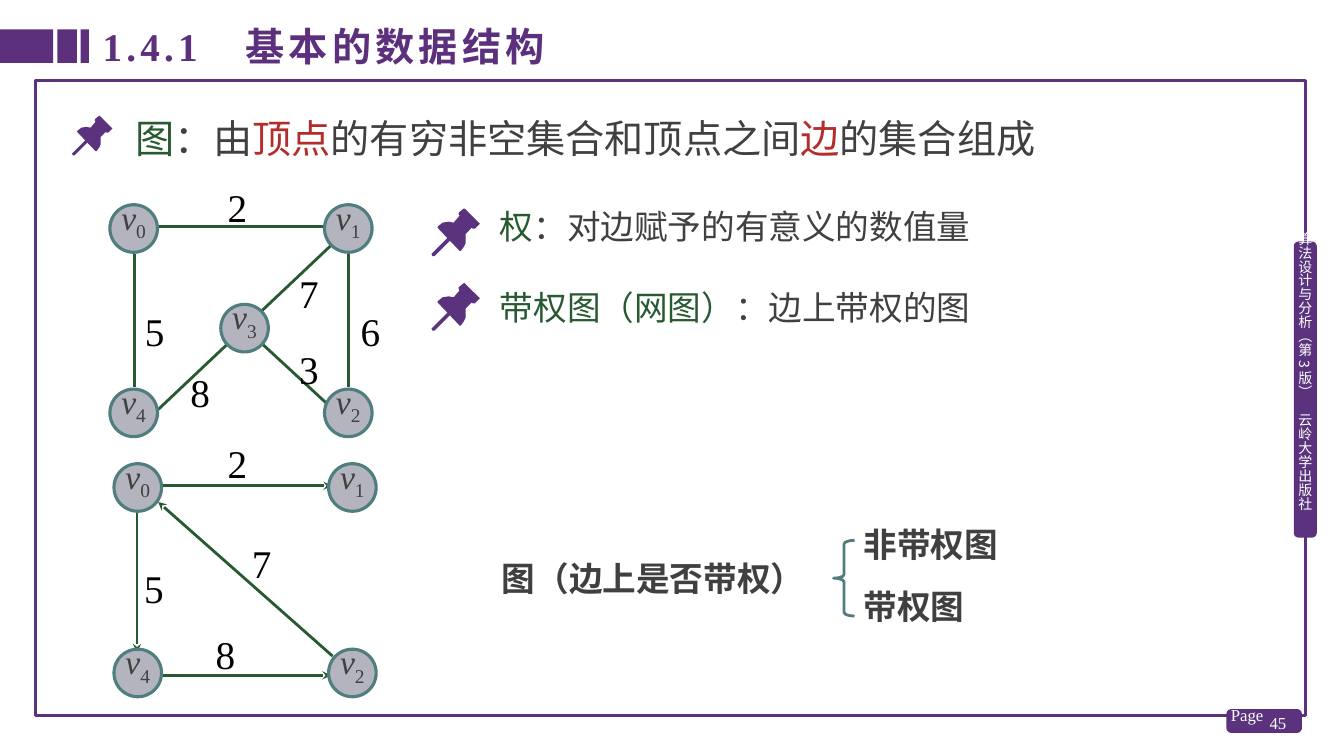
from lxml.etree import SubElement
from pptx import Presentation
from pptx.dml.color import RGBColor
from pptx.enum.shapes import MSO_CONNECTOR, MSO_SHAPE as Preset
from pptx.enum.text import MSO_ANCHOR as Anchor, MSO_AUTO_SIZE as AutoSize, PP_ALIGN as Align
from pptx.oxml.ns import qn
from pptx.util import Pt

COLORS = {
    "purple": "5A327D", "violet": "5C307D", "green": "285A32", "red": "B42D2D",
    "gray": "404040", "teal": "507D7D", "node": "B4B4BE", "white": "FFFFFF", "black": "000000",
}
RGB = {key: RGBColor.from_string(value) for key, value in COLORS.items()}
ROMAN, SANS = "Times New Roman", "Noto Sans CJK SC"
PIN_PARTS = [
    [(47, 14), (33, 0), (32, 0), (27, 4), (27, 6), (28, 7), (22, 14), (17, 13), (11, 14.4),
     (6, 18), (6, 19), (28, 42), (29, 42), (32, 38), (34, 34), (34, 25), (40, 19), (41, 20),
     (43, 20), (47, 16), (48, 15)],
    [(2, 47), (1, 47), (0, 45), (1, 44), (16, 29), (17, 28.5), (18, 28.5), (19, 29), (19, 31),
     (3, 47)],
]

deck = Presentation()
deck.slide_width, deck.slide_height = Pt(960), Pt(540)
slide = deck.slides.add_slide(deck.slide_layouts[1])
shapes = slide.shapes


def write(holder, runs, size, name=ROMAN, align=Align.LEFT, anchor=Anchor.MIDDLE,
          inset=(7.2, 3.6), **font_format):
    frame = holder.text_frame
    frame_format = {
        "word_wrap": True, "auto_size": AutoSize.NONE, "vertical_anchor": anchor,
        "margin_left": Pt(inset[0]), "margin_right": Pt(inset[0]),
        "margin_top": Pt(inset[1]), "margin_bottom": Pt(inset[1]),
    }
    for key, value in frame_format.items():
        setattr(frame, key, value)
    paragraph = frame.paragraphs[0]
    paragraph.alignment = align
    for text, color in runs:
        run = paragraph.add_run()
        run.text = text
        for key, value in {"size": Pt(size), "name": name, **font_format}.items():
            setattr(run.font, key, value)
        run.font.color.rgb = RGB[color]
        SubElement(run.font._element, qn("a:ea"), typeface=SANS)
    return paragraph


def add_preset(kind, box, fill=None, line=None, weight=2):
    part = shapes.add_shape(kind, *map(Pt, box))
    part.shadow.inherit = False
    if fill:
        part.fill.solid()
        part.fill.fore_color.rgb = RGB[fill]
    else:
        part.fill.background()
    if line:
        part.line.color.rgb = RGB[line]
        part.line.width = Pt(weight)
    else:
        part.line.fill.background()
    return part


add_preset(Preset.RECTANGLE, (25.2, 57.6, 907.2, 453.6), line="purple", weight=2.25)
add_preset(Preset.ROUNDED_RECTANGLE, (877, 507.5, 52, 15), "purple", "violet")
for left, width in [(0, 38), (41, 14), (57.6, 6)]:
    add_preset(Preset.RECTANGLE, (left, 21, width, 24), "violet")
add_preset(Preset.ROUNDED_RECTANGLE, (925.2, 173.5, 14.4, 209.5), "purple", "violet")

page_number = shapes.add_textbox(Pt(896.4), Pt(501.5), Pt(29.5), Pt(29))
write(page_number, [("45", "white")], 12, align=Align.RIGHT)
page_label = shapes.add_textbox(Pt(868.3), Pt(499.7), Pt(45), Pt(22.3))
write(page_label, [("Page", "white")], 12, align=Align.CENTER)
book_strip = shapes.add_textbox(Pt(926), Pt(165.6), Pt(12.2), Pt(226))
write(book_strip, [("算法设计与分析（第 3 版）　云岭大学出版社", "white")], 10, SANS, inset=(0, 0))
book_strip.text_frame._txBody.bodyPr.set("vert", "eaVert")

title, definition = slide.placeholders
for holder, box in [(title, (66.2, 12.2, 622.8, 41)), (definition, (89.3, 71.3, 810, 48.2))]:
    holder.left, holder.top, holder.width, holder.height = map(Pt, box)
heading = write(title, [("1.4.1　基本的数据结构", "violet")], 28, bold=True)
heading.runs[0].font._element.set("spc", "300")
definition_line = write(definition, [
    ("图", "green"), ("：由", "gray"), ("顶点", "red"),
    ("的有穷非空集合和顶点之间", "gray"), ("边", "red"), ("的集合组成", "gray"),
], 28)
definition_line.line_spacing = 1.2
definition_line.space_before = Pt(0)
bullet_format = definition_line._p.get_or_add_pPr()
for key in ("marL", "indent"):
    bullet_format.set(key, "0")
SubElement(bullet_format, qn("a:buNone"))

for left, top, scale in [(51.5, 82.8, 0.6), (308.2, 149, 0.72), (308.2, 202.3, 0.72)]:
    for outline in PIN_PARTS:
        builder = shapes.build_freeform(*outline[0], scale=Pt(scale))
        builder.add_line_segments(outline[1:], close=True)
        pin = builder.convert_to_shape(Pt(left), Pt(top))
        pin.shadow.inherit = False
        pin.fill.solid()
        pin.fill.fore_color.rgb = RGB["purple"]
        pin.line.fill.background()

for term, meaning, top in [("权", "：对边赋予的有意义的数值量", 143.3),
                           ("带权图（网图）", "：边上带权的图", 201.6)]:
    term_line = shapes.add_textbox(Pt(350), Pt(top), Pt(370), Pt(36))
    write(term_line, [(term, "green"), (meaning, "gray")], 24)

graphs = [
    {
        "nodes": {"0": (78.5, 146.2), "1": (231.8, 146.2), "2": (231.8, 277.9),
                  "3": (157.7, 217.4), "4": (78.5, 277.9)},
        "edges": [(113, 162, 231.8, 162), (237.6, 174.2, 186.5, 222.5),
                  (162, 246.2, 110.9, 294.5), (187.9, 246.2, 234.7, 289.4),
                  (95.8, 181.4, 95.8, 276.5), (249.1, 181.4, 249.1, 276.5)],
        "weights": [("2", 155.5, 127.4), ("7", 206.6, 188.6), ("8", 128.9, 259.2),
                    ("5", 96.5, 216), ("6", 250.6, 216), ("3", 206.6, 243.4)],
        "directed": False,
    },
    {
        "nodes": {"0": (81.4, 331.2), "1": (234.7, 331.2), "2": (234.7, 463.7),
                  "4": (81.4, 463.7)},
        "edges": [(115.2, 347, 236.9, 347), (97.9, 365, 97.9, 465.8),
                  (237.6, 468.7, 113, 358.6), (114.5, 482.4, 236.2, 482.4)],
        "weights": [("2", 155.5, 310.3), ("7", 172.8, 381.6), ("8", 146.9, 446.4),
                    ("5", 95.8, 399.6)],
        "directed": True,
    },
]
for graph in graphs:
    for ends in graph["edges"]:
        edge = shapes.add_connector(MSO_CONNECTOR.STRAIGHT, *map(Pt, ends))
        edge.line.color.rgb = RGB["green"]
        edge.line.width = Pt(2)
        outline = edge.element.spPr
        if graph["directed"]:
            SubElement(outline.find(qn("a:ln")), qn("a:tailEnd"), type="stealth")
        SubElement(outline, qn("a:effectLst"))
    for index, (left, top) in graph["nodes"].items():
        node = add_preset(Preset.OVAL, (left, top, 34, 34), "node", "teal", 2.25)
        label = write(node, [("v", "gray"), (index, "gray")], 24, align=Align.CENTER,
                      anchor=Anchor.TOP, inset=(0, 0))
        label.line_spacing = Pt(22)
        letter, subscript = label.runs
        letter.font.italic = True
        subscript.font._element.set("baseline", "-25000")
    for value, left, top in graph["weights"]:
        weight = shapes.add_textbox(Pt(left), Pt(top), Pt(47.5), Pt(41))
        write(weight, [(value, "black")], 28, anchor=Anchor.TOP).space_before = Pt(3)

brace = add_preset(Preset.LEFT_BRACE, (595.4, 386, 15, 54), line="teal")
brace.adjustments[0] = 0.17
for text, left, top, width in [("图（边上是否带权）", 351.4, 394.6, 230.4),
                               ("非带权图", 609.8, 370.8, 124.6),
                               ("带权图", 609.8, 414.7, 109.4)]:
    category = shapes.add_textbox(Pt(left), Pt(top), Pt(width), Pt(36))
    write(category, [(text, "gray")], 24, SANS, bold=True)

deck.save("out.pptx")
